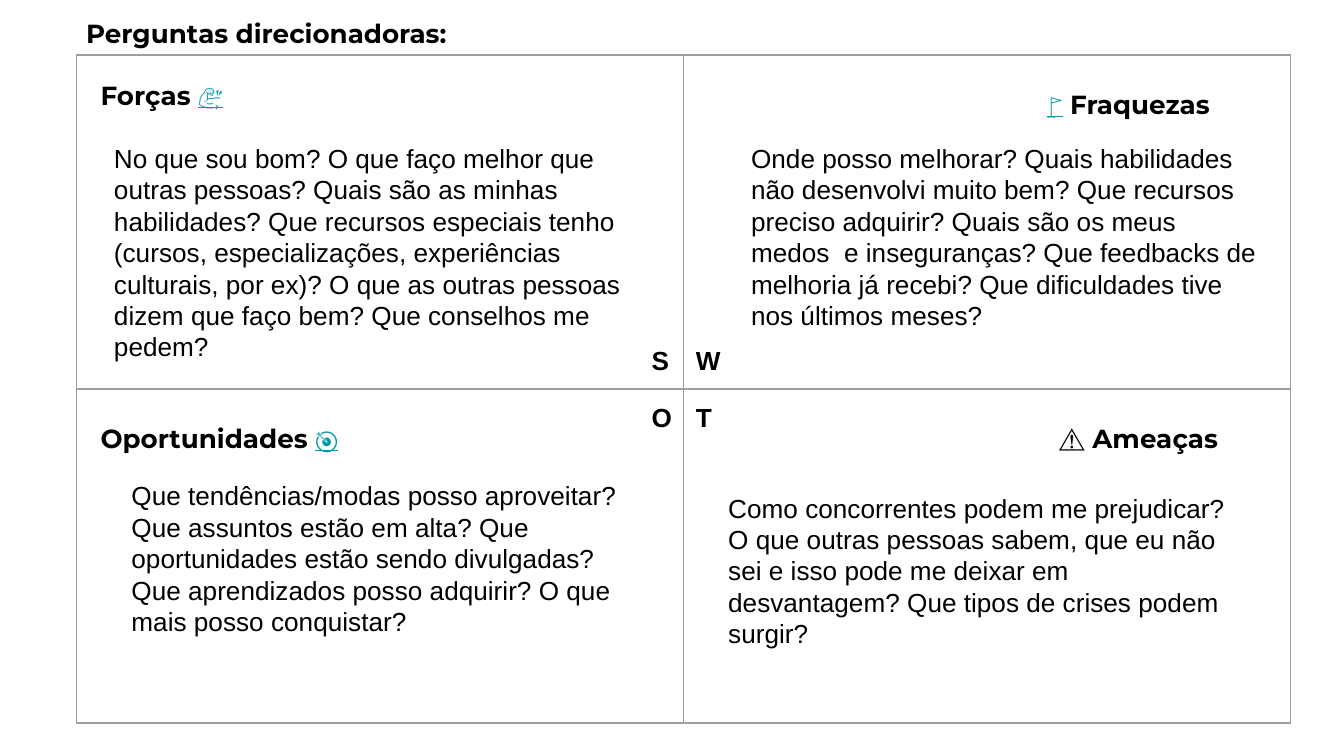
"""Build the SWOT guiding questions slide."""
from lxml.etree import SubElement
from pptx import Presentation
from pptx.dml.color import RGBColor
from pptx.enum.text import MSO_ANCHOR, MSO_AUTO_SIZE, PP_ALIGN
from pptx.oxml.ns import qn
from pptx.util import Inches, Pt

COLORS = {"text": "000000", "emoji": "0097A7", "grid": "9E9E9E"}
HEADING = {"size": Pt(14), "name": "Montserrat", "bold": True}
LETTER = {"size": Pt(14), "name": "Arial", "bold": True}
QUESTION = {"size": Pt(14), "name": "Arial", "bold": False}
EMOJI = {"size": Pt(12), "name": "Arial", "bold": False, "underline": True}


def write(shape, runs):
    frame = shape.text_frame
    frame.word_wrap = True
    frame.auto_size = MSO_AUTO_SIZE.SHAPE_TO_FIT_TEXT
    frame.vertical_anchor = MSO_ANCHOR.TOP
    for side in ("left", "right", "top", "bottom"):
        setattr(frame, f"margin_{side}", Inches(0.1))
    paragraph = frame.paragraphs[0]
    paragraph.alignment = PP_ALIGN.LEFT
    paragraph.line_spacing = 1.0
    for text, style in runs:
        run = paragraph.add_run()
        run.text = text
        for attribute, value in style.items():
            setattr(run.font, attribute, value)
        color = COLORS["emoji" if style is EMOJI else "text"]
        run.font.color.rgb = RGBColor.from_string(color)
    return paragraph


def add_text(slide, place, runs):
    return write(slide.shapes.add_textbox(*map(Inches, place)), runs)


deck = Presentation()
deck.slide_width = Inches(10)
deck.slide_height = Inches(10 * 9 / 16)
slide = deck.slides.add_slide(deck.slide_layouts[5])

swot_width, swot_height = 9.03, 4.97
swot = slide.shapes.add_table(
    2, 2, Inches(0.57), Inches(0.41), Inches(swot_width), Inches(swot_height)
).table
swot.first_row = swot.horz_banding = False
for row in swot.rows:
    row.height = Inches(swot_height / 2)
for column in swot.columns:
    column.width = Inches(swot_width / 2)
for cell in swot.iter_cells():
    properties = cell._tc.get_or_add_tcPr()
    for edge in ("a:lnL", "a:lnR", "a:lnT", "a:lnB"):
        line = SubElement(properties, qn(edge), w=str(Pt(0.75)))
        fill = SubElement(line, qn("a:solidFill"))
        SubElement(fill, qn("a:srgbClr"), val=COLORS["grid"])
    cell.fill.background()

headings = [
    ((0.65, 0.49, 1.49, 0.67), [("Forças ", HEADING), ("💪", EMOJI)]),
    ((7.69, 0.52, 1.63, 0.44), [("🚩", EMOJI), (" Fraquezas", HEADING)]),
    ((0.65, 3.04, 2.2, 0.67), [("Oportunidades ", HEADING), ("🎯", EMOJI)]),
    ((7.78, 3.04, 1.71, 0.44), [("⚠️ Ameaças", HEADING)]),
]
for place, runs in headings:
    heading = add_text(slide, place, runs)
    if runs[0][1] is EMOJI:
        heading.line_spacing = 1.15
        heading.space_after = Pt(8)

for index, letter in enumerate("SWOT"):
    row, column = divmod(index, 2)
    place = (4.75 + 0.33 * column, 2.46 + 0.43 * row, 0.33, 0.44)
    add_text(slide, place, [(letter, LETTER)])

title = slide.shapes.title
title.left, title.top = Inches(0.54), Inches(0.03)
title.width, title.height = Inches(3.28), Inches(0.44)
write(title, [("Perguntas direcionadoras:", HEADING)])

questions = [
    (0.75, 0.96, 1.85,
     "No que sou bom? O que faço melhor que outras pessoas? Quais são as "
     "minhas habilidades? Que recursos especiais tenho (cursos, "
     "especializações, experiências culturais, por ex)? O que as outras "
     "pessoas dizem que faço bem? Que conselhos me pedem?"),
    (5.49, 0.96, 1.62,
     "Onde posso melhorar? Quais habilidades não desenvolvi muito bem? Que "
     "recursos preciso adquirir? Quais são os meus medos  e inseguranças? "
     "Que feedbacks de melhoria já recebi? Que dificuldades tive nos "
     "últimos meses?"),
    (0.88, 3.47, 1.38,
     "Que tendências/modas posso aproveitar? Que assuntos estão em alta? "
     "Que oportunidades estão sendo divulgadas? Que aprendizados posso "
     "adquirir? O que mais posso conquistar?"),
    (5.32, 3.56, 1.38,
     "Como concorrentes podem me prejudicar? O que outras pessoas sabem, "
     "que eu não sei e isso pode me deixar em desvantagem? Que tipos de "
     "crises podem surgir?"),
]
for left, top, height, text in questions:
    add_text(slide, (left, top, 4, height), [(text, QUESTION)])

deck.save("out.pptx")
